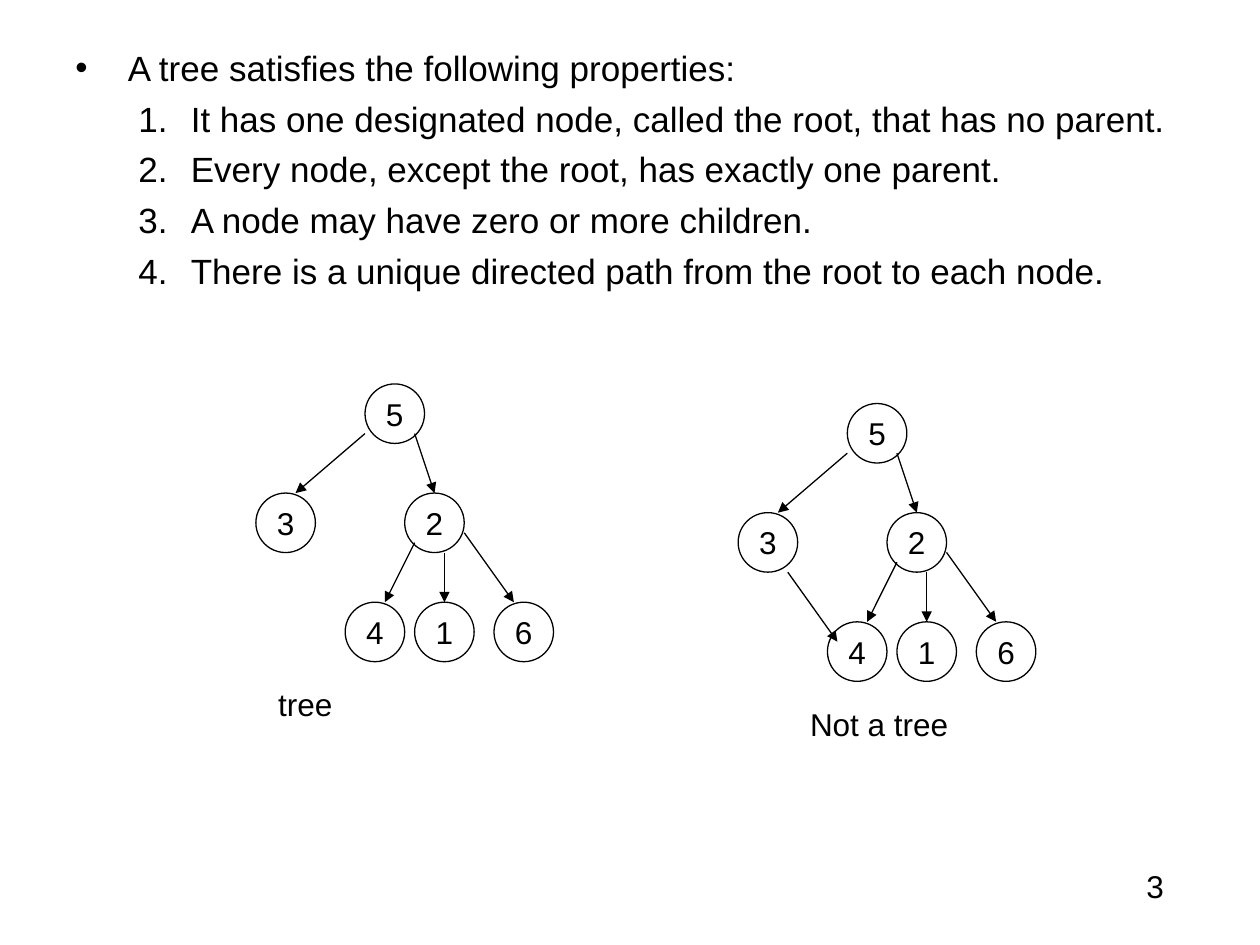
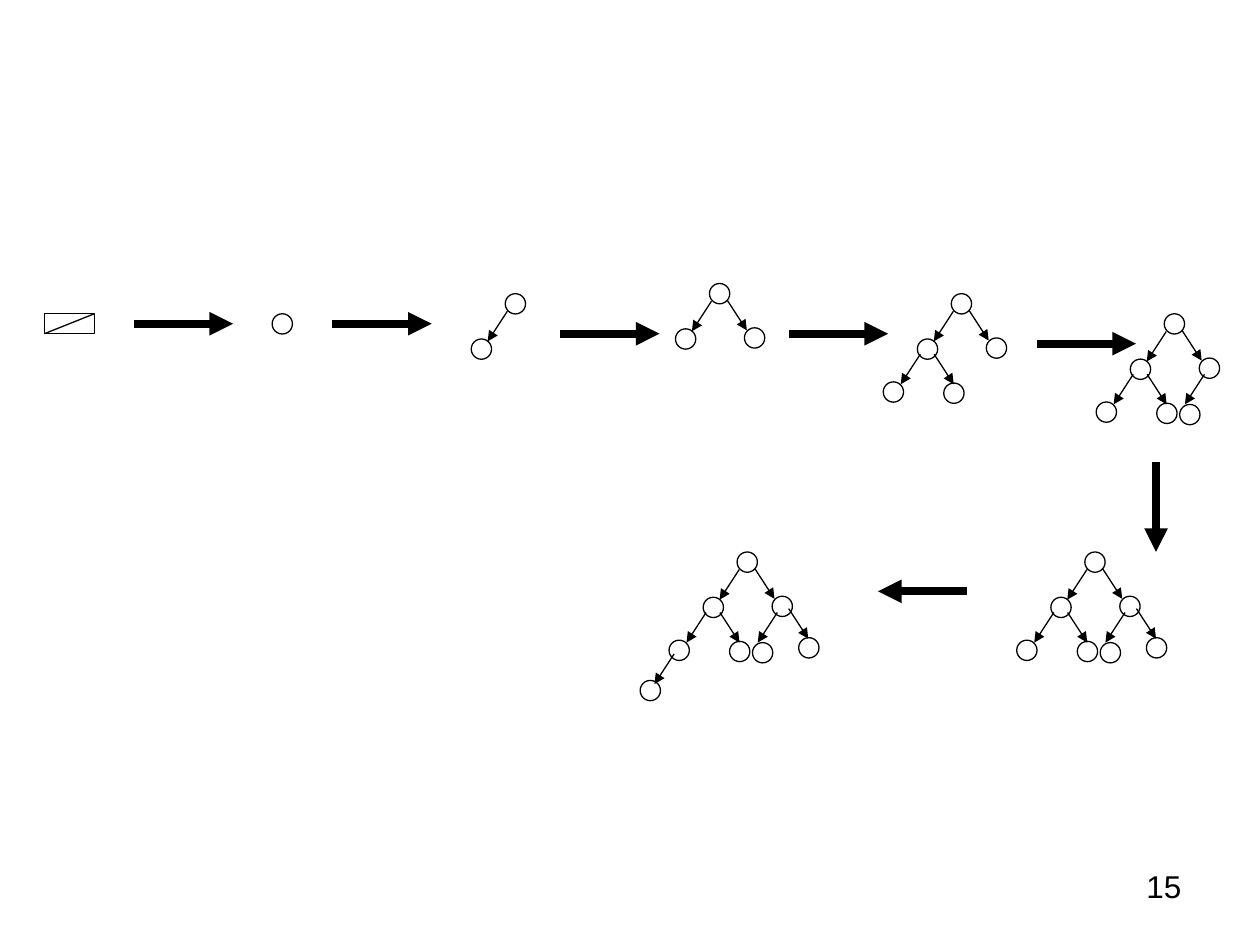
from dataclasses import dataclass

from lxml import etree
from pptx import Presentation
from pptx import util as u
from pptx.dml.color import RGBColor
from pptx.enum import shapes, text
from pptx.oxml import ns

Pt = u.Pt


@dataclass(frozen=True)
class Theme:
    font: str = "Arial"
    ink: RGBColor = RGBColor(0, 0, 0)
    body_size: float = 20
    label_size: float = 18
    thin: float = 0.75
    thick: float = 4.5


def apply(target, values):
    for name, value in values.items():
        setattr(target, name, value)


def add_element(parent, tag, **attributes):
    return etree.SubElement(parent, ns.qn(tag), attributes)


class Deck:
    """Holds the theme, the current slide and the shapes being drawn into."""

    def __init__(self, theme):
        self.theme = theme
        self.presentation = Presentation()
        apply(self.presentation, {"slide_width": Pt(720), "slide_height": Pt(540)})

    def start_slide(self, number):
        layout = self.presentation.slide_layouts[6]
        self.slide = self.presentation.slides.add_slide(layout)
        self.canvas = self.slide.shapes
        self.label(648, 491.8, 36.7, number)

    def start_group(self):
        self.canvas = self.slide.shapes.add_group_shape().shapes

    def end_group(self):
        self.canvas = self.slide.shapes

    def styled_run(self, paragraph, wording, size):
        run = paragraph.add_run()
        run.text = wording
        apply(run.font, {"name": self.theme.font, "size": Pt(size)})
        run.font.color.rgb = self.theme.ink

    def label(self, left, top, width, wording):
        box = self.canvas.add_textbox(Pt(left), Pt(top), Pt(width), Pt(28.8))
        box.text_frame.word_wrap = True
        self.styled_run(box.text_frame.paragraphs[0], wording, self.theme.label_size)

    def outline(self, left, top, width, height, preset, wording=""):
        shape = self.canvas.add_shape(preset, Pt(left), Pt(top), Pt(width), Pt(height))
        shape.shadow.inherit = False
        shape.fill.background()
        shape.line.color.rgb = self.theme.ink
        shape.line.width = Pt(self.theme.thin)
        if wording:
            apply(shape.text_frame, {"word_wrap": False,
                                     "vertical_anchor": text.MSO_ANCHOR.MIDDLE})
            paragraph = shape.text_frame.paragraphs[0]
            paragraph.alignment = text.PP_ALIGN.CENTER
            self.styled_run(paragraph, wording, self.theme.label_size)

    def node(self, left, top, diameter, wording=""):
        self.outline(left, top, diameter, diameter, shapes.MSO_SHAPE.OVAL, wording)

    def line(self, start, end, width=None, arrow=True):
        points = [Pt(value) for value in (*start, *end)]
        connector = self.canvas.add_connector(shapes.MSO_CONNECTOR.STRAIGHT, *points)
        connector.line.color.rgb = self.theme.ink
        connector.line.width = Pt(width or self.theme.thin)
        properties = connector._element.spPr
        if arrow:
            add_element(properties.find(ns.qn("a:ln")), "a:tailEnd", type="triangle")
        add_element(properties, "a:effectLst")

    def properties_list(self, left, top, width, height, heading, items):
        box = self.canvas.add_textbox(Pt(left), Pt(top), Pt(width), Pt(height))
        frame = box.text_frame
        frame.word_wrap = True
        for index, wording in enumerate([heading, *items]):
            paragraph = frame.add_paragraph() if index else frame.paragraphs[0]
            properties = paragraph._p.get_or_add_pPr()
            properties.set("marL", str(Pt(66 if index else 30)))
            properties.set("indent", str(Pt(-30)))
            add_element(properties, "a:buFont", typeface=self.theme.font)
            if index:
                add_element(properties, "a:buAutoNum", type="arabicPeriod")
                apply(paragraph, {"level": 1, "space_before": Pt(5)})
            else:
                add_element(properties, "a:buChar", char="•")
            self.styled_run(paragraph, wording, self.theme.body_size)


# Numbered example: positions in grid steps from the root's top left corner
STEP = 5.67
NODES = {"5": (0, 0), "3": (-11, 11), "2": (4, 11),
         "4": (-2, 22), "1": (5, 22), "6": (13, 22)}
EDGES = [((5, 5), (7, 11)), ((0, 5), (-7, 11)), ((5, 16), (2, 22)),
         ((8, 17), (8, 22)), ((10, 15), (15, 22))]
SECOND_PARENT = ((-6, 17), (-1, 24))


def numbered_tree(deck, left, top, edges):
    def place(point):
        return left + point[0] * STEP, top + point[1] * STEP

    deck.start_group()
    for wording, position in NODES.items():
        deck.node(*place(position), 6 * STEP, wording)
    for start, end in edges:
        deck.line(place(start), place(end))
    deck.end_group()


# Growing tree: each branch gives its node and where its edge starts,
# both in points from the root's top left corner, in order of growth
DOT = 11.6
EDGE_RUN, EDGE_DROP = 11.2, 17.2
BRANCHES = {
    "L": ((-19.4, 25.9), (1.2, 10.1)),
    "R": ((20, 25.3), (10.2, 9.6)),
    "LL": ((-38.9, 50.4), (-17.7, 34.6)),
    "LR": ((-4.3, 51.1), (-9.8, 34.6)),
    "RL": ((8.8, 51.8), (23, 34.6)),
    "RR": ((35.2, 49), (29.5, 32.4)),
    "LLL": ((-55.4, 73.4), (-36, 58.3)),
}
# Root position and number of branches at each stage
STAGES = [(155.5, 179.3, 0), (288.7, 167.8, 1), (405.4, 162, 2), (543.6, 167.8, 4),
          (665.3, 179.3, 5), (619.9, 315.4, 6), (421.2, 315.4, 7)]
# Start and direction of the arrow leading to each stage
RIGHT, DOWN, LEFT = (56.7, 0), (0, 51.1), (-51.1, 0)
STAGE_ARROWS = [(76.5, 185, RIGHT), (190, 185, RIGHT), (320.2, 190.7, RIGHT),
                (450.8, 190.7, RIGHT), (592.5, 196.4, RIGHT),
                (660.6, 264.3, DOWN), (552.8, 337.9, LEFT)]


def growing_tree(deck, left, top, count):
    deck.start_group()
    deck.node(left, top, DOT)
    for branch, (node, edge) in list(BRANCHES.items())[:count]:
        deck.node(left + node[0], top + node[1], DOT)
        x, y = left + edge[0], top + edge[1]
        run = EDGE_RUN if branch.endswith("R") else -EDGE_RUN
        deck.line((x, y), (x + run, y + EDGE_DROP))
    deck.end_group()


def build_properties_slide(deck):
    deck.start_slide("3")
    deck.properties_list(36, 23, 648, 445.7, "A tree satisfies the following properties:", [
        "It has one designated node, called the root, that has no parent.",
        "Every node, except the root, has exactly one parent.",
        "A node may have zero or more children.",
        "There is a unique directed path from the root to each node.",
    ])
    numbered_tree(deck, 208.6, 219.4, EDGES)
    numbered_tree(deck, 484.2, 230.6, EDGES + [SECOND_PARENT])
    deck.label(151.9, 388.1, 158.4, "tree")
    deck.label(455.8, 399.6, 158.4, "Not a tree")


def build_growth_slide(deck):
    deck.start_slide("15")

    # Empty tree
    left, top, width, height = 25.4, 179.3, 28.5, 11.4
    deck.start_group()
    deck.outline(left, top, width, height, shapes.MSO_SHAPE.RECTANGLE)
    deck.line((left, top + height), (left + width, top), arrow=False)
    deck.end_group()

    # Stages and the arrows between them
    for stage in STAGES:
        growing_tree(deck, *stage)
    for x, y, (run, drop) in STAGE_ARROWS:
        deck.line((x, y), (x + run, y + drop), deck.theme.thick)


def main():
    deck = Deck(Theme())
    build_properties_slide(deck)
    build_growth_slide(deck)
    deck.presentation.save("out.pptx")


if __name__ == "__main__":
    main()
